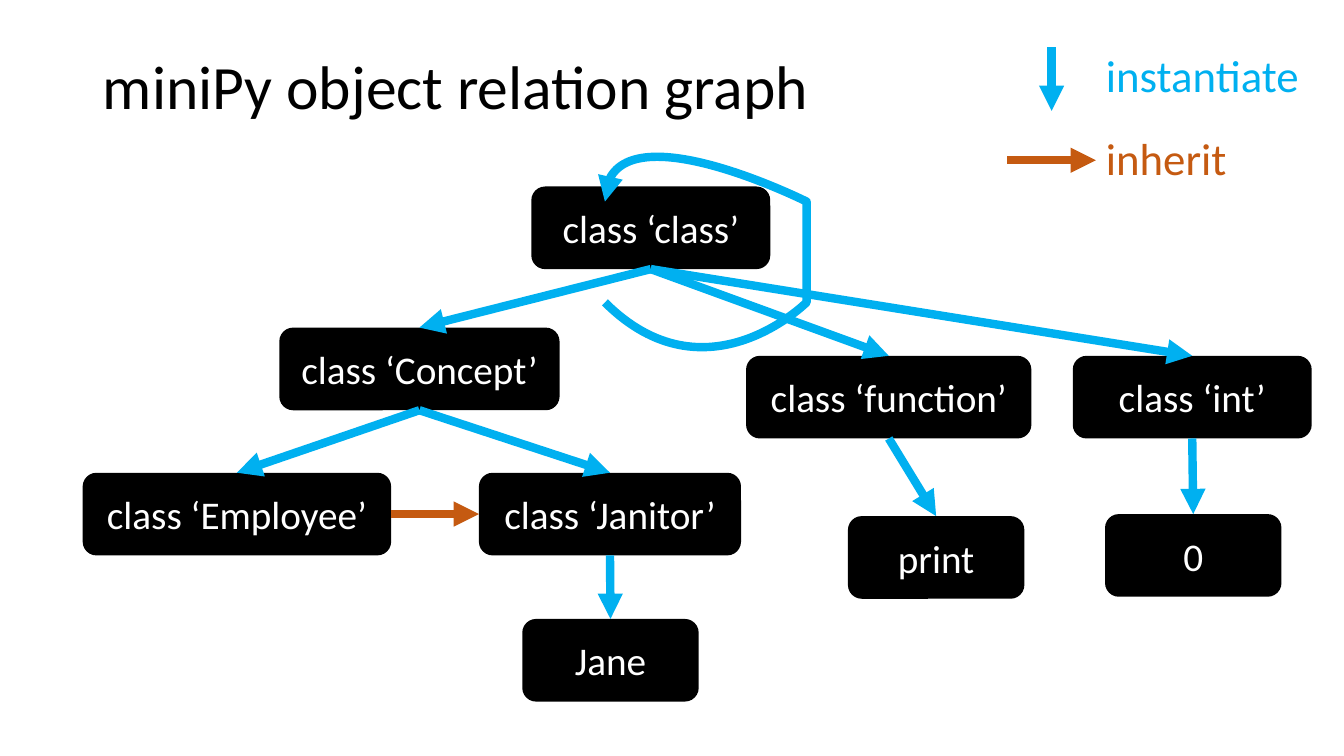
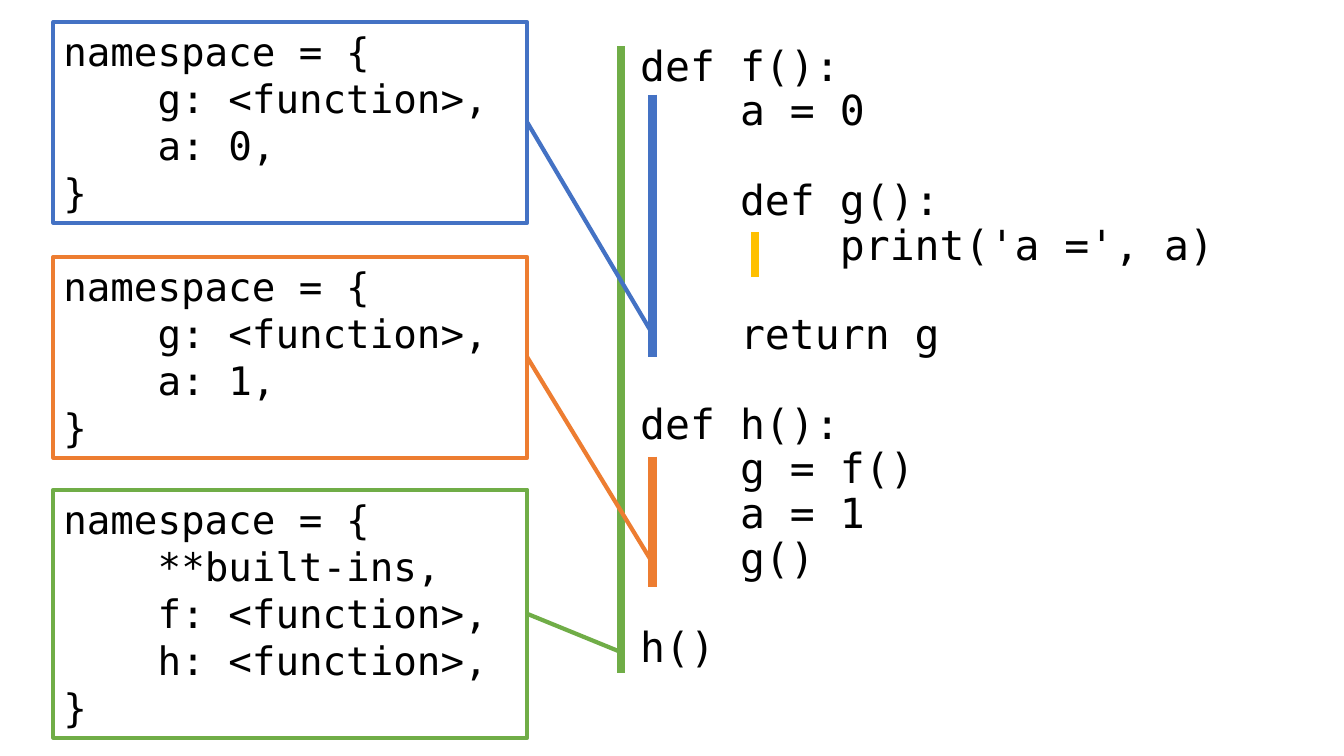
from dataclasses import dataclass

from lxml.etree import SubElement
from pptx import Presentation
from pptx.dml.color import RGBColor
from pptx.enum.shapes import MSO_CONNECTOR, MSO_SHAPE
from pptx.enum.text import MSO_ANCHOR, MSO_AUTO_SIZE, PP_ALIGN
from pptx.oxml.ns import qn
from pptx.util import Inches, Pt


@dataclass(frozen=True)
class Theme:
    black: str = "000000"
    white: str = "FFFFFF"
    instantiate: str = "00B0F0"
    inherit: str = "C55A11"
    blue: str = "4472C4"
    orange: str = "ED7D31"
    green: str = "70AD47"
    yellow: str = "FFC000"
    sans: str = "Calibri"
    mono: str = "DejaVu Sans Mono"
    title_size: float = 44
    legend_size: float = 32
    node_size: float = 28
    namespace_size: float = 28
    code_size: float = 29.6
    heavy: float = 6
    thin: float = 3
    mono_advance: float = 0.602  # character width relative to type size
    mono_leading: float = 1.2


THEME = Theme()
TAB_CHARACTERS = 4
TOP, LEFT, BOTTOM, RIGHT = range(4)  # connection sites of a rectangle

# Slide 1: label -> left, top, width
NODE_HEIGHT = 0.82
NODES = {
    "class ‘class’": (5.27, 1.85, 2.37),
    "class ‘Concept’": (2.77, 3.25, 2.78),
    "class ‘function’": (7.4, 3.53, 2.83),
    "class ‘int’": (10.64, 3.53, 2.37),
    "class ‘Employee’": (0.82, 4.69, 3.06),
    "class ‘Janitor’": (4.75, 4.69, 2.6),
    "Jane": (5.18, 6.14, 1.75),
    "print": (8.41, 5.12, 1.75),
    "0": (10.96, 5.1, 1.75),
}
INSTANCES = {
    "class ‘class’": ["class ‘Concept’", "class ‘function’", "class ‘int’"],
    "class ‘Concept’": ["class ‘Employee’", "class ‘Janitor’"],
    "class ‘Janitor’": ["Jane"],
    "class ‘function’": ["print"],
    "class ‘int’": ["0"],
}
INHERITANCE = [("class ‘Employee’", "class ‘Janitor’")]
SELF_LOOP_START = (6.43, 2.64)
SELF_LOOP_CURVES = [
    [(6.53, 3.54), (7.68, 3.19), (8.05, 2.84)],
    [(8.42, 2.48), (8.25, 1.86), (7.99, 1.7)],
    [(7.72, 1.54), (6.47, 1.38), (6.44, 1.86)],
]
# text, colour, text box, arrow start, arrow end
LEGEND = [
    ("instantiate", THEME.instantiate, (10.87, 0.42, 2.14, 0.64), (10.43, 0.47), (10.43, 1.1)),
    ("inherit", THEME.inherit, (10.87, 1.25, 1.41, 0.64), (9.99, 1.59), (10.87, 1.59)),
]

# Slide 2: indent level, text, whether a blank line's gap precedes
CODE = [
    (0, "def f():", False),
    (1, "a = 0", False),
    (1, "def g():", True),
    (2, "print('a =', a)", False),
    (1, "return g", True),
    (0, "def h():", True),
    (1, "g = f()", False),
    (1, "a = 1", False),
    (1, "g()", False),
    (0, "h()", True),
]
# colour, x, top, bottom
SCOPE_BARS = [
    (THEME.green, 6.16, 0.46, 6.68),
    (THEME.blue, 6.47, 0.94, 3.54),
    (THEME.yellow, 7.49, 2.3, 2.75),
    (THEME.orange, 6.47, 4.53, 5.82),
]
# colour, top, height, entries, point on the scope bar
NAMESPACE_LEFT, NAMESPACE_WIDTH = 0.53, 4.7
NAMESPACES = [
    (THEME.blue, 0.22, 1.99, ["g: <function>,", "a: 0,"], (6.47, 3.31)),
    (THEME.orange, 2.55, 1.99, ["g: <function>,", "a: 1,"], (6.47, 5.58)),
    (THEME.green, 4.86, 2.46, ["**built-ins,", "f: <function>,", "h: <function>,"], (6.16, 6.47)),
]


def place(shape, left, top, width, height):
    shape.left, shape.top = Inches(left), Inches(top)
    shape.width, shape.height = Inches(width), Inches(height)


def add_span(para, text, size, color, font):
    span = para.add_run()
    span.text = text
    span.font.size = Pt(size)
    span.font.name = font
    span.font.color.rgb = RGBColor.from_string(color)


def set_frame(shape, anchor):
    frame = shape.text_frame
    frame.word_wrap = True
    frame.auto_size = MSO_AUTO_SIZE.NONE
    frame.vertical_anchor = anchor
    return frame


def write_label(shape, text, size, color, align=PP_ALIGN.LEFT, anchor=MSO_ANCHOR.MIDDLE):
    para = set_frame(shape, anchor).paragraphs[0]
    para.alignment = align
    add_span(para, text, size, color, THEME.sans)
    return para


def write_code(shape, lines, size, spacing=1.0):
    """Write (level, text, gap) lines in monospace, with real indents and gaps."""
    frame = set_frame(shape, MSO_ANCHOR.TOP)
    tab = Pt(size * THEME.mono_advance * TAB_CHARACTERS)
    for number, (level, text, gap) in enumerate(lines):
        para = frame.add_paragraph() if number else frame.paragraphs[0]
        para.alignment = PP_ALIGN.LEFT
        para.line_spacing = spacing
        para.space_before = Pt(size * THEME.mono_leading * spacing if gap else 0)
        properties = para._p.get_or_add_pPr()
        properties.set("marL", str(int(tab * level)))
        properties.set("indent", "0")
        SubElement(properties, qn("a:buNone"))
        add_span(para, text, size, THEME.black, THEME.mono)


def style_line(shape, color, width, arrow=False):
    shape.line.color.rgb = RGBColor.from_string(color)
    shape.line.width = Pt(width)
    if arrow:
        SubElement(shape.line._get_or_add_ln(), qn("a:tailEnd"), type="triangle")


def add_line(page, start, end, color, width=THEME.heavy, arrow=False):
    line = page.shapes.add_connector(
        MSO_CONNECTOR.STRAIGHT, *(Inches(value) for value in (*start, *end))
    )
    style_line(line, color, width, arrow)
    SubElement(line._element.spPr, qn("a:effectLst"))
    return line


def add_link(page, source, source_site, target, target_site, color):
    link = add_line(page, (0, 0), (1, 1), color, arrow=True)
    link.begin_connect(source, source_site)
    link.end_connect(target, target_site)


def add_box(page, preset, left, top, width, height):
    box = page.shapes.add_shape(preset, 0, 0, 0, 0)
    place(box, left, top, width, height)
    box.shadow.inherit = False
    return box


def add_curve(page, start, curves, color):
    """Draw an open arrow made of cubic curves, three points to each."""
    builder = page.shapes.build_freeform(*start, scale=Inches(1))
    builder.add_line_segments([point for curve in curves for point in curve], close=False)
    shape = builder.convert_to_shape()
    shape.shadow.inherit = False
    shape.fill.background()
    outline = shape._element.spPr.find(".//" + qn("a:path"))
    segments = outline.findall(qn("a:lnTo"))
    for first in range(0, len(segments), 3):
        cubic = SubElement(outline, qn("a:cubicBezTo"))
        for segment in segments[first:first + 3]:
            cubic.append(segment[0])
            outline.remove(segment)
    style_line(shape, color, THEME.heavy, arrow=True)


def build_relation_graph(deck):
    page = deck.slides.add_slide(deck.slide_layouts.get_by_name("Title Only"))
    title = page.shapes.title
    place(title, 0.92, 0.34, 7.75, 1.1)
    write_label(title, "miniPy object relation graph", THEME.title_size, THEME.black).line_spacing = 0.9

    boxes = {}
    for label, (left, top, width) in NODES.items():
        box = add_box(page, MSO_SHAPE.ROUNDED_RECTANGLE, left, top, width, NODE_HEIGHT)
        box.fill.solid()
        box.fill.fore_color.rgb = RGBColor.from_string(THEME.black)
        box.line.fill.background()
        write_label(box, label, THEME.node_size, THEME.white, PP_ALIGN.CENTER)
        boxes[label] = box

    for parent, children in INSTANCES.items():
        for child in children:
            add_link(page, boxes[parent], BOTTOM, boxes[child], TOP, THEME.instantiate)
    for source, target in INHERITANCE:
        add_link(page, boxes[source], RIGHT, boxes[target], LEFT, THEME.inherit)
    add_curve(page, SELF_LOOP_START, SELF_LOOP_CURVES, THEME.instantiate)

    for text, color, area, start, end in LEGEND:
        add_line(page, start, end, color, arrow=True)
        box = page.shapes.add_textbox(*(Inches(value) for value in area))
        write_label(box, text, THEME.legend_size, color, anchor=MSO_ANCHOR.TOP)


def build_namespaces(deck):
    page = deck.slides.add_slide(deck.slide_layouts.get_by_name("Title and Content"))
    heading = page.shapes.title._element
    heading.getparent().remove(heading)
    body = page.placeholders[1]
    place(body, 6.25, 0.4, 6.51, 6.69)
    write_code(body, CODE, THEME.code_size, spacing=0.9)

    for color, x, top, bottom in SCOPE_BARS:
        add_line(page, (x, top), (x, bottom), color)
    for color, top, height, entries, target in NAMESPACES:
        box = add_box(page, MSO_SHAPE.RECTANGLE, NAMESPACE_LEFT, top, NAMESPACE_WIDTH, height)
        box.fill.background()
        style_line(box, color, THEME.thin)
        lines = [(0, "namespace = {", False)]
        lines += [(1, entry, False) for entry in entries]
        lines.append((0, "}", False))
        write_code(box, lines, THEME.namespace_size)
        link = add_line(page, (0, 0), target, color, THEME.thin)
        link.begin_connect(box, RIGHT)


def main():
    deck = Presentation()
    deck.slide_width, deck.slide_height = Inches(13.33), Inches(7.5)
    build_relation_graph(deck)
    build_namespaces(deck)
    deck.save("out.pptx")


if __name__ == "__main__":
    main()
